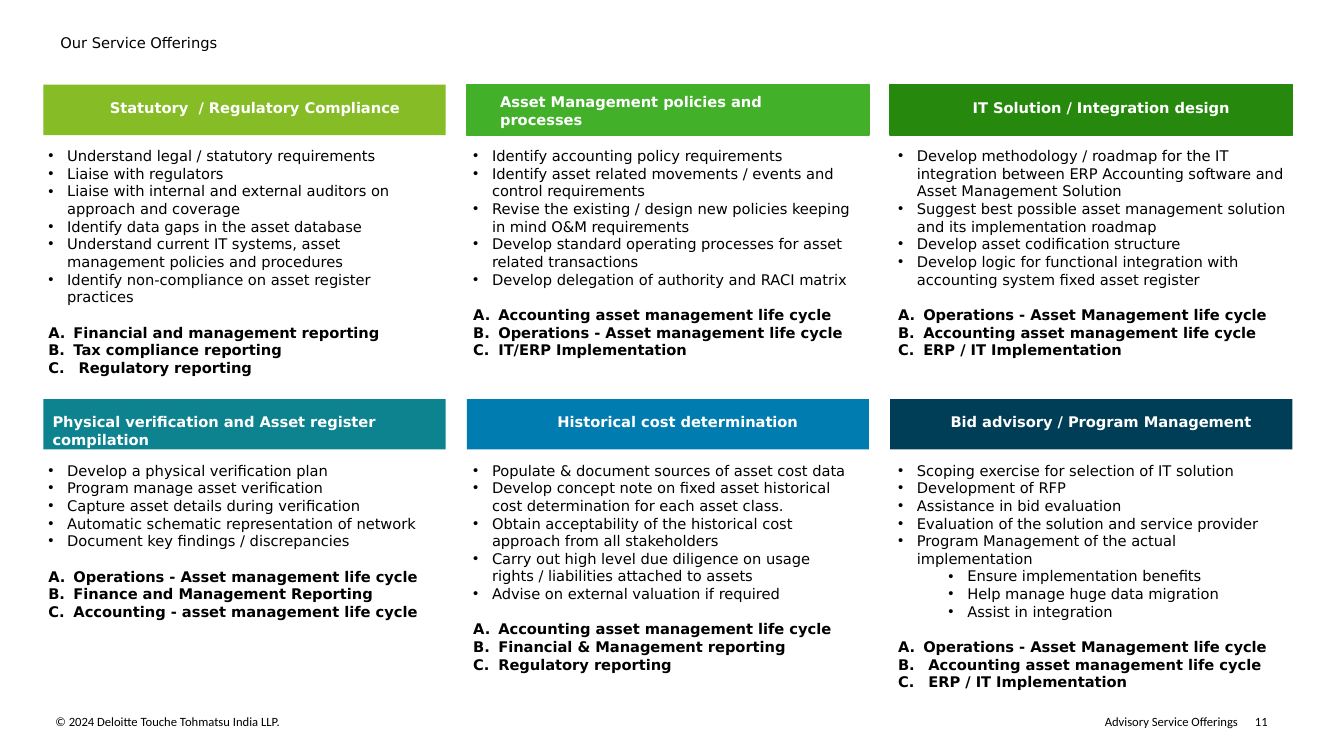
from dataclasses import dataclass

from lxml.etree import SubElement
from pptx import Presentation
from pptx.dml.color import RGBColor
from pptx.enum.shapes import MSO_SHAPE
from pptx.enum.text import MSO_ANCHOR, MSO_AUTO_SIZE, PP_ALIGN
from pptx.oxml.ns import qn
from pptx.util import Pt

COLORS = {
    "black": "000000", "white": "FFFFFF", "lime": "86BC25", "green": "43B02A",
    "forest": "26890D", "teal": "0D8390", "blue": "007CB0", "navy": "003E58",
}
BODY_FONT, FOOTER_FONT = "DejaVu Sans", "Calibri"
BAND_WIDTH, BAND_HEIGHT = 287.3, 36
LINE_HEIGHT = 12.7


@dataclass
class Offering:
    heading: str
    color: str
    insets: tuple  # left, top and right of the heading inside its band
    lines: int  # height of the body in text lines
    tasks: list
    outcomes: list
    subtasks: tuple = ()
    outlined: bool = False


OFFERINGS = [
    Offering("Statutory  / Regulatory Compliance", "lime", (47.5, 10, 0), 13, [
        "Understand legal / statutory requirements",
        "Liaise with regulators",
        "Liaise with internal and external auditors on approach and coverage",
        "Identify data gaps in the asset database",
        "Understand current IT systems, asset management policies and procedures",
        "Identify non-compliance on asset register practices",
    ], ["Financial and management reporting", "Tax compliance reporting",
        " Regulatory reporting"]),
    Offering("Asset Management policies and processes", "green", (23.8, 6, 29), 12, [
        "Identify accounting policy requirements",
        "Identify asset related movements / events and control requirements",
        "Revise the existing / design new policies keeping in mind O&M requirements",
        "Develop standard operating processes for asset related transactions",
        "Develop delegation of authority and RACI matrix",
    ], ["Accounting asset management life cycle",
        "Operations - Asset management life cycle",
        "IT/ERP Implementation"], outlined=True),
    Offering("IT Solution / Integration design", "forest", (59, 10, 0), 12, [
        "Develop methodology / roadmap for the IT integration between ERP "
        "Accounting software and Asset Management Solution",
        "Suggest best possible asset management solution and its implementation roadmap",
        "Develop asset codification structure",
        "Develop logic for functional integration with accounting system fixed asset register",
    ], ["Operations - Asset Management life cycle",
        "Accounting asset management life cycle",
        "ERP / IT Implementation"], outlined=True),
    Offering("Physical verification and Asset register compilation", "teal", (6.5, 10, 6), 9, [
        "Develop a physical verification plan",
        "Program manage asset verification",
        "Capture asset details during verification",
        "Automatic schematic representation of network",
        "Document key findings / discrepancies",
    ], ["Operations - Asset management life cycle",
        "Finance and Management Reporting",
        "Accounting - asset management life cycle"]),
    Offering("Historical cost determination", "blue", (64.8, 10, 0), 13, [
        "Populate & document sources of asset cost data",
        "Develop concept note on fixed asset historical cost determination "
        "for each asset class.",
        "Obtain acceptability of the historical cost approach from all stakeholders",
        "Carry out high level due diligence on usage rights / liabilities attached to assets",
        "Advise on external valuation if required",
    ], ["Accounting asset management life cycle",
        "Financial & Management reporting",
        "Regulatory reporting"]),
    Offering("Bid advisory / Program Management", "navy", (43.2, 10, 0), 14, [
        "Scoping exercise for selection of IT solution",
        "Development of RFP",
        "Assistance in bid evaluation",
        "Evaluation of the solution and service provider",
        "Program Management of the actual implementation",
    ], ["Operations - Asset Management life cycle",
        " Accounting asset management life cycle",
        " ERP / IT Implementation"],
        subtasks=("Ensure implementation benefits", "Help manage huge data migration",
                  "Assist in integration")),
]


def rgb(name):
    return RGBColor.from_string(COLORS[name])


def write(para, text, size=10.5, font=BODY_FONT, color="black", bold=False,
          align=PP_ALIGN.LEFT, before=0):
    para.alignment = align
    para.space_before = Pt(before)
    span = para.add_run()
    span.text = text
    span.font.size, span.font.name, span.font.bold = Pt(size), font, bold
    span.font.color.rgb = rgb(color)


def set_frame(frame, left=0, top=0, right=0, bottom=0, wrap=True):
    frame.margin_left, frame.margin_top = Pt(left), Pt(top)
    frame.margin_right, frame.margin_bottom = Pt(right), Pt(bottom)
    frame.word_wrap = wrap
    frame.vertical_anchor = MSO_ANCHOR.TOP
    frame.auto_size = MSO_AUTO_SIZE.NONE


def add_marker(para, indent, hanging, numbered=False):
    props = para._p.get_or_add_pPr()
    props.set("marL", str(Pt(indent)))
    props.set("indent", str(-Pt(hanging)))
    if numbered:
        SubElement(props, qn("a:buAutoNum"), type="alphaUcPeriod")
    else:
        SubElement(props, qn("a:buFont"), typeface="Arial")
        SubElement(props, qn("a:buChar"), char="•")


def add_title(page, left, top, width, height):
    title = page.shapes.title
    title.left, title.top, title.width, title.height = map(Pt, (left, top, width, height))
    set_frame(title.text_frame, 7.2, 3.6, 7.2, 3.6)
    write(title.text_frame.paragraphs[0], "Our Service Offerings")


def add_band(page, offering, left, top):
    band = page.shapes.add_shape(
        MSO_SHAPE.RECTANGLE, Pt(left), Pt(top), Pt(BAND_WIDTH), Pt(BAND_HEIGHT))
    band.shadow.inherit = False
    band.fill.solid()
    band.fill.fore_color.rgb = rgb(offering.color)
    if offering.outlined:
        band.line.color.rgb = rgb(offering.color)
        band.line.width = Pt(1)
    else:
        band.line.fill.background()
    inset_left, inset_top, inset_right = offering.insets
    set_frame(band.text_frame, inset_left, inset_top, inset_right)
    write(band.text_frame.paragraphs[0], offering.heading, color="white", bold=True)


def add_body(page, offering, left, top):
    height = 7.2 + LINE_HEIGHT * offering.lines
    box = page.shapes.add_textbox(Pt(left), Pt(top), Pt(286.6), Pt(height))
    frame = box.text_frame
    set_frame(frame, 7.2, 3.6, 0, 3.6)
    items = [(text, "task") for text in offering.tasks]
    items += [(text, "subtask") for text in offering.subtasks]
    items += [(text, "outcome") for text in offering.outcomes]
    for index, (text, role) in enumerate(items):
        para = frame.add_paragraph() if index else frame.paragraphs[0]
        outcome = role == "outcome"
        if outcome:
            add_marker(para, 18, 18, numbered=True)
        elif role == "subtask":
            para.level = 1
            add_marker(para, 49.5, 13.5)
        else:
            add_marker(para, 13.5, 13.5)
        starts_outcomes = outcome and text == offering.outcomes[0]
        write(para, text, bold=outcome, before=LINE_HEIGHT if starts_outcomes else 0)


def add_grid(page, left, top):
    for index, offering in enumerate(OFFERINGS):
        row, column = divmod(index, 3)
        band_top = top + 224.6 * row
        add_band(page, offering, left + 302.4 * column, band_top)
        # Body columns sit slightly left of the bands
        add_body(page, offering, left - 3.6 + 303.5 * column, band_top + 41)


def add_footer(page, left, top):
    parts = [
        (0, 422, "© 2024 Deloitte Touche Tohmatsu India LLP.", PP_ALIGN.LEFT),
        (459.4, 385.2, "Advisory Service Offerings", PP_ALIGN.RIGHT),
        (856.8, 12, "11", PP_ALIGN.LEFT),
    ]
    for offset, width, text, align in parts:
        box = page.shapes.add_textbox(Pt(left + offset), Pt(top), Pt(width), Pt(11))
        set_frame(box.text_frame, wrap=text != "11")
        write(box.text_frame.paragraphs[0], text, size=9, font=FOOTER_FONT, align=align)


def main():
    deck = Presentation()
    deck.slide_width, deck.slide_height = Pt(960), Pt(540)
    page = deck.slides.add_slide(deck.slide_layouts[5])
    add_title(page, 36, 20.9, 881.3, 37.4)
    add_grid(page, 31, 60.5)
    add_footer(page, 39.6, 509.8)
    deck.save("out.pptx")


if __name__ == "__main__":
    main()
